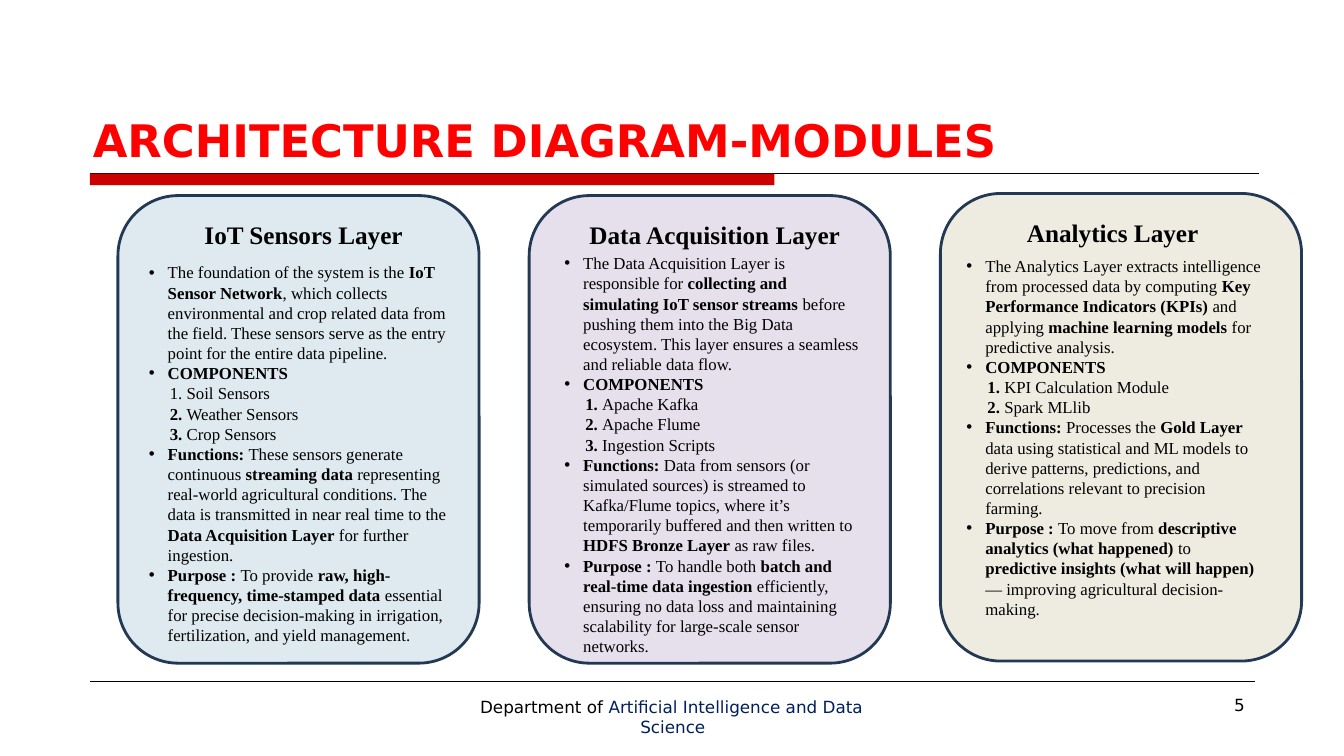
from pptx import Presentation
from pptx.dml.color import RGBColor
from pptx.enum.shapes import MSO_CONNECTOR, MSO_SHAPE
from pptx.oxml.ns import qn
from pptx.util import Pt
from lxml import etree

STRAIGHT = MSO_CONNECTOR.STRAIGHT
RECTANGLE = MSO_SHAPE.RECTANGLE
ROUNDED = MSO_SHAPE.ROUNDED_RECTANGLE

SANS = "DejaVu Sans"
SERIF = "Times New Roman"
CARD_WIDTH, CARD_HEIGHT, CARD_PITCH = 258, 334, 293.76
BODY_WIDTH = 228
BULLET_INDENT, NUMBER_INDENT = 13.5, 15

CARDS = [
    {
        "title": "IoT Sensors Layer", "fill": "DEE9F0", "top": 139.7,
        "title_left": 54, "body_offset": (15, 44),
        "body": [
            "The foundation of the system is the **IoT Sensor Network**, which collects environmental and crop related data from the field. These sensors serve as the entry point for the entire data pipeline.",
            "**COMPONENTS**",
            ["1. Soil Sensors", "**2. **Weather Sensors", "**3. **Crop Sensors"],
            "**Functions: **These sensors generate continuous **streaming data** representing real-world agricultural conditions. The data is transmitted in near real time to the **Data Acquisition Layer** for further ingestion.",
            "**Purpose : **To provide **raw, high-frequency, time-stamped data** essential for precise decision-making in irrigation, fertilization, and yield management.",
        ],
    },
    {
        "title": "Data Acquisition Layer", "fill": "E6E0EC", "top": 139.7,
        "title_left": 35.3, "body_offset": (18, 37.4),
        "body": [
            "The Data Acquisition Layer is responsible for **collecting and simulating IoT sensor streams** before pushing them into the Big Data ecosystem. This layer ensures a seamless and reliable data flow.",
            "**COMPONENTS**",
            ["**1. **Apache Kafka", "**2. **Apache Flume", "**3. **Ingestion Scripts"],
            "**Functions: **Data from sensors (or simulated sources) is streamed to Kafka/Flume topics, where it’s temporarily buffered and then written to **HDFS Bronze Layer** as raw files.",
            "**Purpose : **To handle both **batch and real-time data ingestion** efficiently, ensuring no data loss and maintaining scalability for large-scale sensor networks.",
        ],
    },
    {
        "title": "Analytics Layer", "fill": "EEECE1", "top": 138.2,
        "title_left": 54, "body_offset": (11.5, 41),
        "body": [
            "The Analytics Layer extracts intelligence from processed data by computing **Key Performance Indicators (KPIs)** and applying **machine learning models** for predictive analysis.",
            "**COMPONENTS**",
            ["**1. **KPI Calculation Module", "**2. **Spark MLlib"],
            "**Functions: **Processes the **Gold Layer** data using statistical and ML models to derive patterns, predictions, and correlations relevant to precision farming.",
            "**Purpose : **To move from **descriptive analytics (what happened)** to **predictive insights (what will happen)** — improving agricultural decision-making.",
        ],
    },
]


def color(value):
    return RGBColor.from_string(value)


def write_runs(paragraph, runs, font, size):
    for text, fill, bold in runs:
        run = paragraph.add_run()
        run.text = text
        run.font.name = font
        run.font.size = Pt(size)
        run.font.bold = bold
        run.font.color.rgb = color(fill)


def marked_runs(text):
    pieces = text.split("**")
    return [(piece, "000000", index % 2 == 1)
            for index, piece in enumerate(pieces) if piece]


def set_indent(paragraph, left, first=0, bullet=None):
    properties = paragraph._p.get_or_add_pPr()
    properties.set("marL", str(Pt(left)))
    properties.set("indent", str(Pt(first)))
    if bullet:
        etree.SubElement(properties, qn("a:buFont")).set("typeface", "Arial")
        etree.SubElement(properties, qn("a:buChar")).set("char", bullet)


def add_text(slide, box, paragraphs, *, font=SERIF, size=12, inset=(7.2, 3.6),
             line_spacing=None):
    shape = slide.shapes.add_textbox(*(Pt(value) for value in box))
    frame = shape.text_frame
    frame.word_wrap = True
    frame.margin_left = frame.margin_right = Pt(inset[0])
    frame.margin_top = frame.margin_bottom = Pt(inset[1])
    for index, (runs, indent) in enumerate(paragraphs):
        paragraph = frame.paragraphs[0] if index == 0 else frame.add_paragraph()
        set_indent(paragraph, *indent)
        if line_spacing:
            paragraph.line_spacing = Pt(line_spacing)
        write_runs(paragraph, runs, font, size)


def add_shape(slide, kind, box, fill, line=None):
    shape = slide.shapes.add_shape(kind, *(Pt(value) for value in box))
    shape.shadow.inherit = False
    shape.fill.solid()
    shape.fill.fore_color.rgb = color(fill)
    if line:
        shape.line.color.rgb = color(line)
        shape.line.width = Pt(2)
    else:
        shape.line.fill.background()


def add_rule(slide, left, top, width, weight):
    rule = slide.shapes.add_connector(
        STRAIGHT, Pt(left), Pt(top), Pt(left + width), Pt(top))
    rule.line.color.rgb = color("000000")
    rule.line.width = Pt(weight)
    etree.SubElement(rule._element.spPr, qn("a:effectLst"))


def add_header(slide, left, top, width):
    heading = [("ARCHITECTURE DIAGRAM-MODULES", "FF0000", True)]
    add_text(slide, (left + 1.4, top, 702, 40), [(heading, (0.7,))],
             font=SANS, size=32, inset=(0, 1.4))
    add_rule(slide, left, top + 45, width, 0.75)
    add_shape(slide, RECTANGLE, (left, top + 45, 489, 8.2), "CC0000")


def add_footer(slide, left, top, width):
    add_rule(slide, left, top, width, 0.25)
    department = [("Department of ", "000000", False),
                  ("Artificial Intelligence and Data Science", "001F5F", False)]
    add_text(slide, (left + 278, top + 9.5, 277, 31),
             [(department, (115.2, -114.5))],
             font=SANS, inset=(0, 1.4), line_spacing=14.3)
    add_text(slide, (left + 814.4, top + 9, 14.4, 17),
             [([("5", "000000", False)], (2.9,))], font=SANS, inset=(0, 0.7))


def add_card(slide, left, top, width, height, card):
    add_shape(slide, ROUNDED, (left, top, width, height), card["fill"], "233953")
    title_left = card["title_left"]
    add_text(slide, (left + title_left, top + 13.5, width - title_left, 29),
             [([(card["title"], "000000", True)], (0.7,))], size=18)
    paragraphs = []
    for entry in card["body"]:
        if isinstance(entry, list):
            paragraphs += [(marked_runs(item), (NUMBER_INDENT,)) for item in entry]
        else:
            paragraphs.append(
                (marked_runs(entry), (BULLET_INDENT, -BULLET_INDENT, "•")))
    body_left, body_top = card["body_offset"]
    add_text(slide, (left + body_left, top + body_top, BODY_WIDTH, height - body_top),
             paragraphs)


def main():
    presentation = Presentation()
    presentation.slide_width = Pt(960)
    presentation.slide_height = Pt(540)
    slide = presentation.slides.add_slide(presentation.slide_layouts[6])
    add_header(slide, 64.2, 79, 835)
    add_footer(slide, 64.2, 486.7, 832)
    for index, card in enumerate(CARDS):
        add_card(slide, 84.24 + index * CARD_PITCH, card["top"],
                 CARD_WIDTH, CARD_HEIGHT, card)
    presentation.save("out.pptx")


if __name__ == "__main__":
    main()
